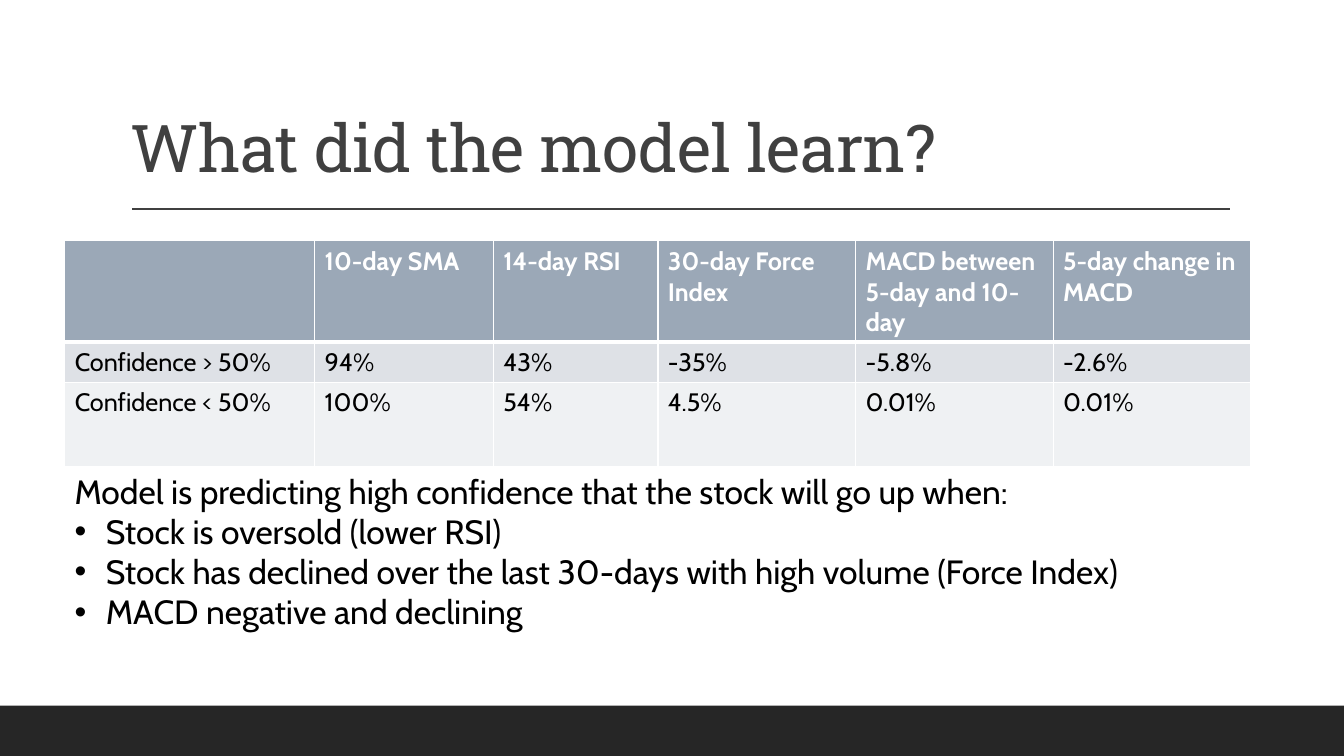
from lxml import etree
from pptx import Presentation, util as u
from pptx.dml.color import RGBColor
from pptx.enum import shapes, text
from pptx.oxml.ns import qn

WHITE = RGBColor(0xFF, 0xFF, 0xFF)
BLACK = RGBColor(0x00, 0x00, 0x00)
CHARCOAL = RGBColor(0x26, 0x26, 0x26)
GRAY = RGBColor(0x40, 0x40, 0x40)
ROW_FILLS = [RGBColor(0x9B, 0xA8, 0xB7), RGBColor(0xDE, 0xE1, 0xE6), RGBColor(0xEF, 0xF1, 0xF3)]

SLIDE_WIDTH, SLIDE_HEIGHT = 33.87, 19.05
FOOTER_TOP = 17.78
CONTENT_LEFT, CONTENT_WIDTH = 1.63, 29.85
COLUMN_WIDTHS = [6.3, 4.5, 4.15, 4.98, 4.98, 4.98]
ROW_HEIGHTS = [1.98, 1.02, 2.13]

INDICATORS = [
    ["", "10-day SMA", "14-day RSI", "30-day Force Index",
     "MACD between 5-day and 10-day", "5-day change in MACD"],
    ["Confidence > 50%", "94%", "43%", "-35%", "-5.8%", "-2.6%"],
    ["Confidence < 50%", "100%", "54%", "4.5%", "0.01%", "0.01%"],
]
FINDINGS = [
    "Stock is oversold (lower RSI)",
    "Stock has declined over the last 30-days with high volume (Force Index)",
    "MACD negative and declining",
]


def write(paragraph, content, *, size, font="Cabin", color=BLACK, bold=False, tracking=None):
    """Add a formatted run; tracking is in hundredths of a point."""
    run = paragraph.add_run()
    run.text = content
    run.font.size = u.Pt(size)
    run.font.name = font
    run.font.color.rgb = color
    run.font.bold = bold
    if tracking is not None:
        run.font._element.set("spc", str(tracking))


def add_bullet(paragraph, indent):
    properties = paragraph._p.get_or_add_pPr()
    properties.set("marL", str(u.Cm(indent)))
    properties.set("indent", str(-u.Cm(indent)))
    etree.SubElement(properties, qn("a:buFont"), typeface="Arial")
    etree.SubElement(properties, qn("a:buChar"), char="•")


def set_borders(cell, color, top, bottom):
    """Draw all four borders; the left and right ones are 1 pt wide."""
    properties = cell._tc.get_or_add_tcPr()
    widths = {"a:lnL": 1, "a:lnR": 1, "a:lnT": top, "a:lnB": bottom}
    for position, (tag, width) in enumerate(widths.items()):
        border = etree.Element(qn(tag), w=str(u.Pt(width)))
        fill = etree.SubElement(border, qn("a:solidFill"))
        etree.SubElement(fill, qn("a:srgbClr"), val=str(color))
        properties.insert(position, border)


class SlideBuilder:
    def __init__(self, slide):
        self.slide = slide

    def bar(self, left, top, width, height, color):
        shape = self.slide.shapes.add_shape(
            shapes.MSO_SHAPE.RECTANGLE, u.Cm(left), u.Cm(top), u.Cm(width), u.Cm(height))
        shape.shadow.inherit = False
        shape.fill.solid()
        shape.fill.fore_color.rgb = color
        shape.line.fill.background()

    def rule(self, left, right, y, color):
        connector = self.slide.shapes.add_connector(
            shapes.MSO_CONNECTOR.STRAIGHT, u.Cm(left), u.Cm(y), u.Cm(right), u.Cm(y))
        connector.line.color.rgb = color
        connector.line.width = u.Pt(1)
        etree.SubElement(connector._element.spPr, qn("a:effectLst"))

    def text_box(self, left, top, width, height, anchor=text.MSO_ANCHOR.TOP):
        frame = self.slide.shapes.add_textbox(
            u.Cm(left), u.Cm(top), u.Cm(width), u.Cm(height)).text_frame
        frame.word_wrap = True
        frame.vertical_anchor = anchor
        return frame

    def title(self, content):
        frame = self.text_box(3.05, 0.79, 27.94, 4.04, text.MSO_ANCHOR.BOTTOM)
        paragraph = frame.paragraphs[0]
        paragraph.line_spacing = 0.9
        write(paragraph, content, size=47, font="Roboto Slab", color=GRAY, tracking=-50)

    def table(self, left, top, rows):
        table = self.slide.shapes.add_table(
            len(rows), len(rows[0]), u.Cm(left), u.Cm(top),
            u.Cm(CONTENT_WIDTH), u.Cm(sum(ROW_HEIGHTS))).table
        for column, width in zip(table.columns, COLUMN_WIDTHS):
            column.width = u.Cm(width)
        for row, height in zip(table.rows, ROW_HEIGHTS):
            row.height = u.Cm(height)
        for row_index, values in enumerate(rows):
            header = row_index == 0
            for column_index, value in enumerate(values):
                cell = table.cell(row_index, column_index)
                cell.fill.solid()
                cell.fill.fore_color.rgb = ROW_FILLS[row_index]
                set_borders(cell, WHITE, top=3 if row_index == 1 else 1, bottom=3 if header else 1)
                if value:
                    write(cell.text_frame.paragraphs[0], value, size=18,
                          color=WHITE if header else BLACK, bold=header)

    def bullet_list(self, left, top, width, height, lead, items):
        frame = self.text_box(left, top, width, height)
        frame.auto_size = text.MSO_AUTO_SIZE.SHAPE_TO_FIT_TEXT
        write(frame.paragraphs[0], lead, size=24)
        for item in items:
            paragraph = frame.add_paragraph()
            add_bullet(paragraph, 0.79)
            write(paragraph, item, size=24)


def main():
    presentation = Presentation()
    presentation.slide_width = u.Cm(SLIDE_WIDTH)
    presentation.slide_height = u.Cm(SLIDE_HEIGHT)
    builder = SlideBuilder(presentation.slides.add_slide(presentation.slide_layouts[6]))

    builder.bar(0, FOOTER_TOP, SLIDE_WIDTH, SLIDE_HEIGHT - FOOTER_TOP, CHARCOAL)
    builder.rule(3.33, 31.0, 5.27, GRAY)
    builder.title("What did the model learn?")
    builder.table(CONTENT_LEFT, 6.07, INDICATORS)
    builder.bullet_list(
        CONTENT_LEFT, 11.73, CONTENT_WIDTH, 4.37,
        "Model is predicting high confidence that the stock will go up when:", FINDINGS)
    presentation.save("out.pptx")


if __name__ == "__main__":
    main()
